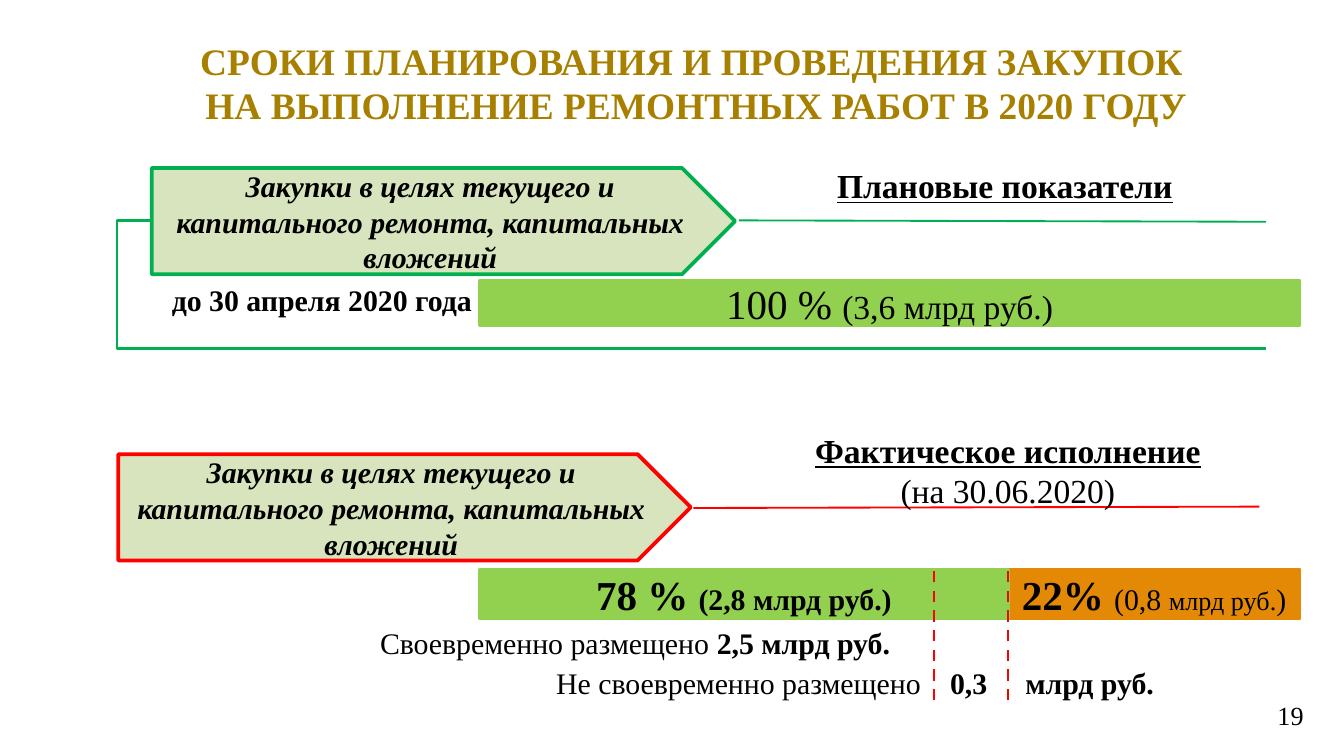
from dataclasses import dataclass

from lxml import etree
from pptx import Presentation, util as u
from pptx.dml.color import RGBColor
from pptx.enum import dml, shapes, text
from pptx.oxml.ns import qn

PX = 9144  # 100 px to the inch
DECK_WIDTH = 1000 * PX
DECK_HEIGHT = DECK_WIDTH * 9 // 16
FONT = "Times New Roman"
BLACK = RGBColor(0x00, 0x00, 0x00)
GOLD = RGBColor(0xA8, 0x80, 0x00)
PALE_GREEN = RGBColor(0xD7, 0xE4, 0xBD)
GREEN = RGBColor(0x00, 0xB0, 0x50)
LIME = RGBColor(0x92, 0xD0, 0x50)
ORANGE = RGBColor(0xE4, 0x89, 0x06)
RED = RGBColor(0xFF, 0x00, 0x00)
DARK_RED = RGBColor(0xE9, 0x09, 0x00)

LEFT, CENTER, RIGHT = text.PP_ALIGN.LEFT, text.PP_ALIGN.CENTER, text.PP_ALIGN.RIGHT
TOP, MIDDLE = text.MSO_ANCHOR.TOP, text.MSO_ANCHOR.MIDDLE
STRAIGHT, ELBOW = shapes.MSO_CONNECTOR.STRAIGHT, shapes.MSO_CONNECTOR.ELBOW
RECTANGLE, PENTAGON = shapes.MSO_SHAPE.RECTANGLE, shapes.MSO_SHAPE.PENTAGON


@dataclass(frozen=True)
class Span:
    words: str
    size: int
    bold: bool = False
    italic: bool = False
    underline: bool = False
    color: RGBColor = BLACK


@dataclass(frozen=True)
class Block:
    kind: shapes.MSO_SHAPE
    place: tuple[int, int, int, int]
    fill: RGBColor
    line: RGBColor
    spans: tuple[Span, ...]
    align: text.PP_ALIGN = CENTER


@dataclass(frozen=True)
class Label:
    place: tuple[int, int, int, int]
    spans: tuple[Span, ...]
    align: text.PP_ALIGN = LEFT
    wrap: bool = True
    tabs: tuple[int, ...] = ()


@dataclass(frozen=True)
class Rule:
    start: tuple[int, int]
    end: tuple[int, int]
    color: RGBColor
    width: float = 1
    dashed: bool = False


PURPOSE = (Span("Закупки в целях текущего и капитального ремонта, капитальных вложений",
                16, bold=True, italic=True),)
BLOCKS = (
    Block(PENTAGON, (113, 125, 434, 79), PALE_GREEN, GREEN, PURPOSE),
    Block(PENTAGON, (88, 338, 426, 79), PALE_GREEN, RED, PURPOSE),
    Block(RECTANGLE, (357, 209, 610, 33), LIME, LIME,
          (Span("100 % ", 22), Span("(3,6 млрд руб.)", 18))),
    Block(RECTANGLE, (750, 424, 217, 36), ORANGE, ORANGE,
          (Span("22% ", 22, bold=True), Span("(0,8 ", 16),
           Span("млрд руб.", 14), Span(")", 16)), RIGHT),
    Block(RECTANGLE, (357, 424, 393, 36), LIME, LIME,
          (Span("78 % ", 22, bold=True), Span("(2,8 млрд руб.)", 16, bold=True))),
)
RULES = (
    Rule((550, 164), (942, 165), GREEN),
    Rule((516, 378), (937, 377), RED),
    Rule((695, 521), (695, 423), RED, 1.5, True),
    Rule((750, 521), (750, 423), DARK_RED, 1.5, True),
)
LABELS = (
    Label((118, 205, 269, 37), (Span("до 30 апреля 2020 года", 16, bold=True),)),
    Label((613, 118, 273, 40),
          (Span("Плановые показатели", 18, bold=True, underline=True),), wrap=False),
    Label((595, 315, 310, 71),
          (Span("Фактическое исполнение\n", 18, bold=True, underline=True),
           Span("(на 30.06.2020)", 18)), CENTER, wrap=False),
    Label((273, 460, 410, 37),
          (Span("Своевременно размещено ", 16), Span("2,5 млрд руб.", 16, bold=True))),
    Label((404, 490, 482, 37),
          (Span("Не своевременно размещено\t", 16),
           Span("0,3\tмлрд руб.", 16, bold=True)), tabs=(293, 349)),
)


def write(frame, spans: tuple[Span, ...], *, align=LEFT, anchor=TOP, wrap=True,
          margins=(10, 5), tabs: tuple[int, ...] = ()) -> None:
    """Fill a text frame with one paragraph; a newline in a span breaks the line."""
    frame.auto_size = text.MSO_AUTO_SIZE.NONE
    frame.word_wrap = wrap
    frame.vertical_anchor = anchor
    frame.margin_left = frame.margin_right = margins[0] * PX
    frame.margin_top = frame.margin_bottom = margins[1] * PX
    para = frame.paragraphs[0]
    para.alignment = align
    if tabs:
        stops = etree.SubElement(para._p.get_or_add_pPr(), qn("a:tabLst"))
        for stop in tabs:
            etree.SubElement(stops, qn("a:tab"), pos=str(stop * PX), algn="l")
    for span in spans:
        for index, line in enumerate(span.words.split("\n")):
            if index:
                para.add_line_break()
            if not line:
                continue
            run = para.add_run()
            run.text = line
            font = run.font
            font.name, font.size = FONT, u.Pt(span.size)
            font.bold, font.italic, font.underline = span.bold, span.italic, span.underline
            font.color.rgb = span.color


def scaled(place: tuple[int, ...]) -> list[int]:
    return [length * PX for length in place]


def draw_block(page, block: Block) -> None:
    shape = page.shapes.add_shape(block.kind, *scaled(block.place))
    shape.shadow.inherit = False
    shape.fill.solid()
    shape.fill.fore_color.rgb = block.fill
    shape.line.color.rgb = block.line
    shape.line.width = u.Pt(2)
    write(shape.text_frame, block.spans, align=block.align, anchor=MIDDLE)


def draw_rule(page, rule: Rule, kind=STRAIGHT):
    connector = page.shapes.add_connector(kind, *scaled(rule.start + rule.end))
    connector.line.color.rgb = rule.color
    connector.line.width = u.Pt(rule.width)
    if rule.dashed:
        connector.line.dash_style = dml.MSO_LINE.DASH
    etree.SubElement(connector._element.spPr, qn("a:effectLst"))
    return connector


def draw_bracket(page) -> None:
    """Elbow line that leaves the first arrow to the left and runs under its bar."""
    bracket = draw_rule(page, Rule((112, 164), (942, 259), GREEN, 1.5), ELBOW)
    geometry = bracket._element.spPr.find(qn("a:prstGeom"))
    guides = geometry.find(qn("a:avLst"))
    if guides is None:
        guides = etree.SubElement(geometry, qn("a:avLst"))
    etree.SubElement(guides, qn("a:gd"), name="adj1", fmla="val -3000")


def draw_label(page, label: Label) -> None:
    box = page.shapes.add_textbox(*scaled(label.place))
    write(box.text_frame, label.spans, align=label.align, wrap=label.wrap, tabs=label.tabs)


def main() -> None:
    deck = Presentation()
    deck.slide_width, deck.slide_height = DECK_WIDTH, DECK_HEIGHT
    page = deck.slides.add_slide(deck.slide_layouts[5])

    title = page.shapes.title
    title.left, title.top, title.width, title.height = scaled((76, 24, 884, 43))
    heading = Span("СРОКИ ПЛАНИРОВАНИЯ И ПРОВЕДЕНИЯ ЗАКУПОК \n"
                   "НА ВЫПОЛНЕНИЕ РЕМОНТНЫХ РАБОТ В 2020 ГОДУ", 20, bold=True, color=GOLD)
    write(title.text_frame, (heading,), align=CENTER, margins=(7, 4))

    draw_bracket(page)
    for block in BLOCKS:
        draw_block(page, block)
    for rule in RULES:
        draw_rule(page, rule)
    for label in LABELS:
        draw_label(page, label)

    number = page.shapes.add_textbox(*scaled((923, 515, 54, 34)))
    write(number.text_frame, (Span("19", 14),), align=RIGHT, anchor=MIDDLE, margins=(7, 4))
    deck.save("out.pptx")


if __name__ == "__main__":
    main()
